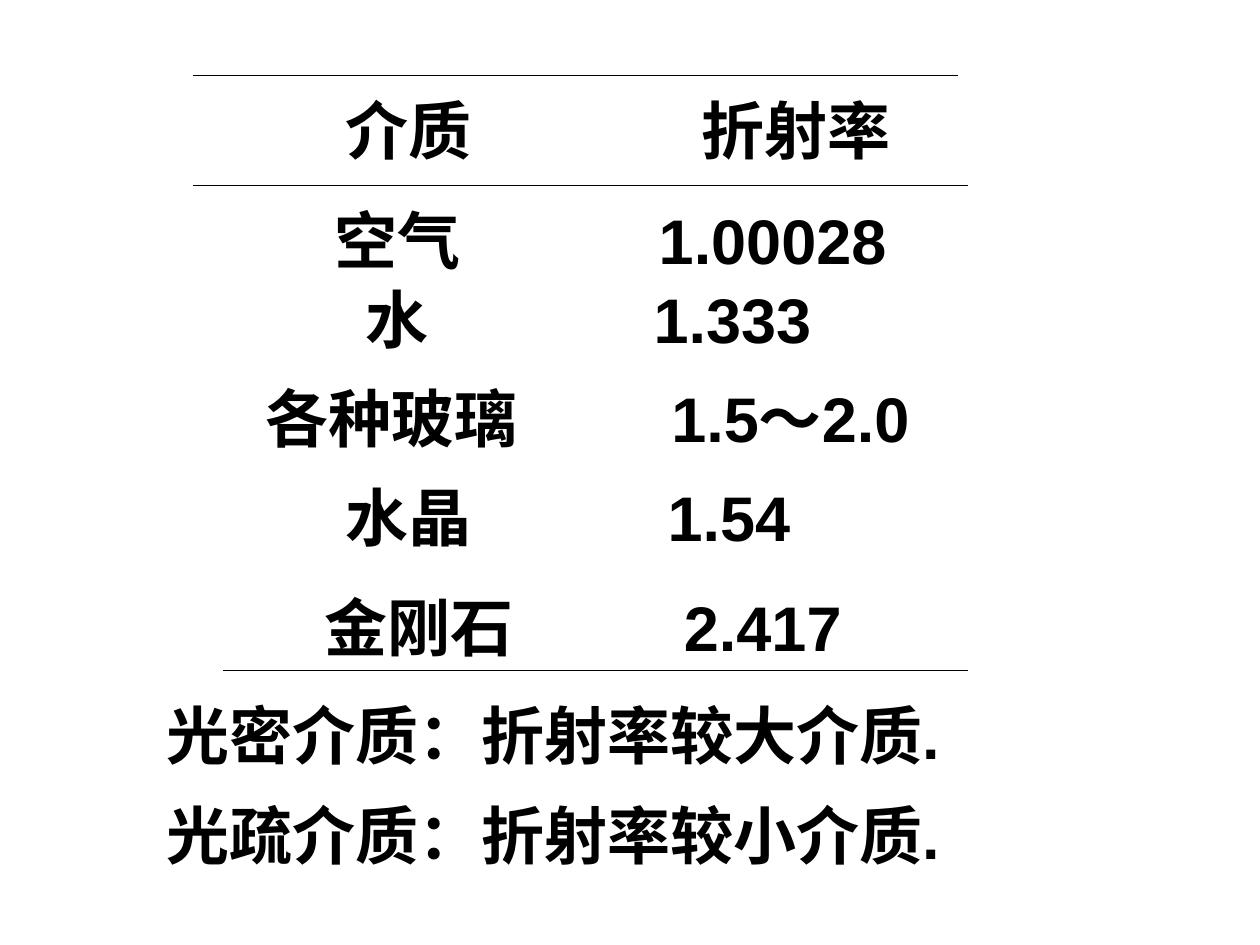
from lxml import etree
from pptx import Presentation
from pptx import util as u
from pptx.dml.color import RGBColor
from pptx.enum import shapes, text
from pptx.oxml import ns

BLACK = RGBColor(0x00, 0x00, 0x00)
WHITE = RGBColor(0xFF, 0xFF, 0xFF)


class PageWriter:
    font = "Arial"
    size = u.Pt(36)
    rule_width = u.Pt(0.75)
    inset = 0.1
    box_height = 0.7

    def __init__(self, page):
        self.page = page
        fill = page.background.fill
        fill.solid()
        fill.fore_color.rgb = WHITE

    def rule(self, left, right, top):
        line = self.page.shapes.add_connector(
            shapes.MSO_CONNECTOR.STRAIGHT,
            u.Inches(left), u.Inches(top), u.Inches(right), u.Inches(top))
        line.line.color.rgb = BLACK
        line.line.width = self.rule_width
        etree.SubElement(line._element.spPr, ns.qn("a:effectLst"))

    def label(self, left, top, width, wording):
        box = self.page.shapes.add_textbox(
            u.Inches(left), u.Inches(top), u.Inches(width), u.Inches(self.box_height))
        frame = box.text_frame
        frame.word_wrap = True
        frame.auto_size = text.MSO_AUTO_SIZE.SHAPE_TO_FIT_TEXT
        para = frame.paragraphs[0]
        span = para.add_run()
        span.text = wording
        span.font.name = self.font
        span.font.size = self.size
        span.font.bold = True
        span.font.color.rgb = BLACK
        return para

    def row(self, left, top, width, medium, index, index_left):
        para = self.label(left, top, width, f"{medium}\t{index}")
        stops = etree.SubElement(para._p.get_or_add_pPr(), ns.qn("a:tabLst"))
        position = u.Inches(index_left - left - self.inset)
        etree.SubElement(stops, ns.qn("a:tab"), pos=str(position), algn="l")


def main():
    deck = Presentation()
    deck.slide_width, deck.slide_height = u.Inches(10), u.Inches(7.5)
    writer = PageWriter(deck.slides.add_slide(deck.slide_layouts[6]))

    for left, right, top in ((1.53, 7.6, 0.6), (1.53, 7.68, 1.47), (1.77, 7.68, 5.32)):
        writer.rule(left, right, top)

    writer.label(2.64, 0.68, 1.42, "介质")
    writer.label(5.47, 0.68, 1.97, "折射率")

    media = (
        (2.56, 1.55, 5.43, "空气", "1.00028", 5.23),
        (2.8, 2.18, 4.57, "水", "1.333", 5.19),
        (2.01, 2.96, 5.91, "各种玻璃", "1.5～2.0", 5.33),
        (2.64, 3.75, 4.73, "水晶", "1.54", 5.3),
        (2.48, 4.62, 5.75, "金刚石", "2.417", 5.43),
    )
    for entry in media:
        writer.row(*entry)

    definitions = ("光密介质：折射率较大介质.", "光疏介质：折射率较小介质.")
    for number, definition in enumerate(definitions):
        writer.label(1.22, 5.48 + 0.79 * number, 7.56, definition)

    deck.save("out.pptx")


if __name__ == "__main__":
    main()
